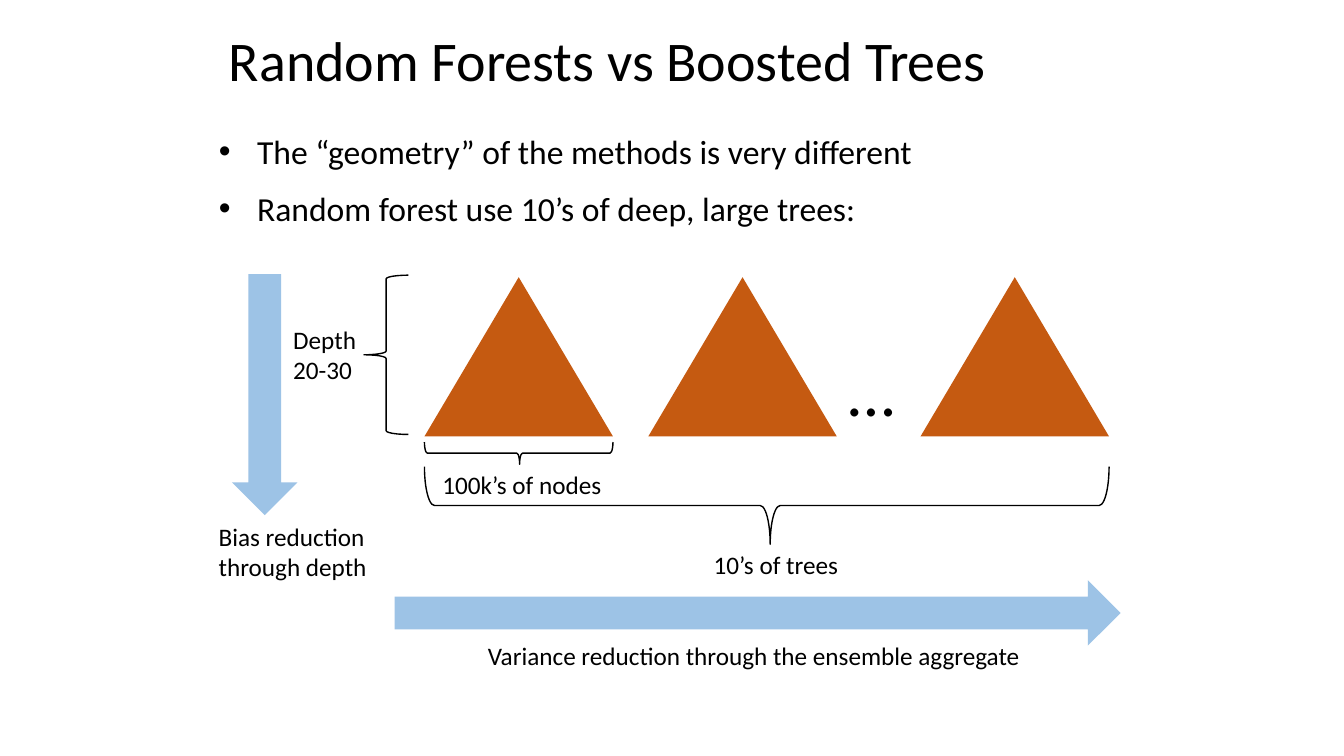
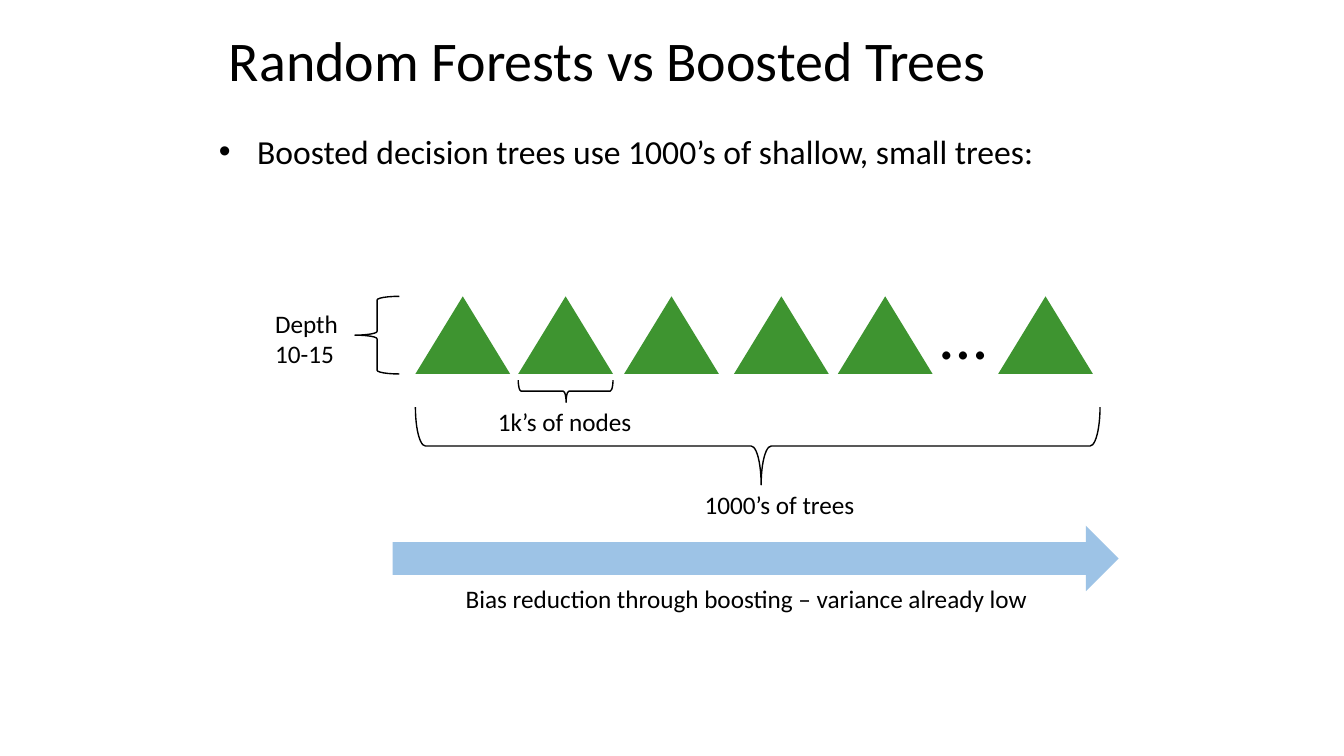
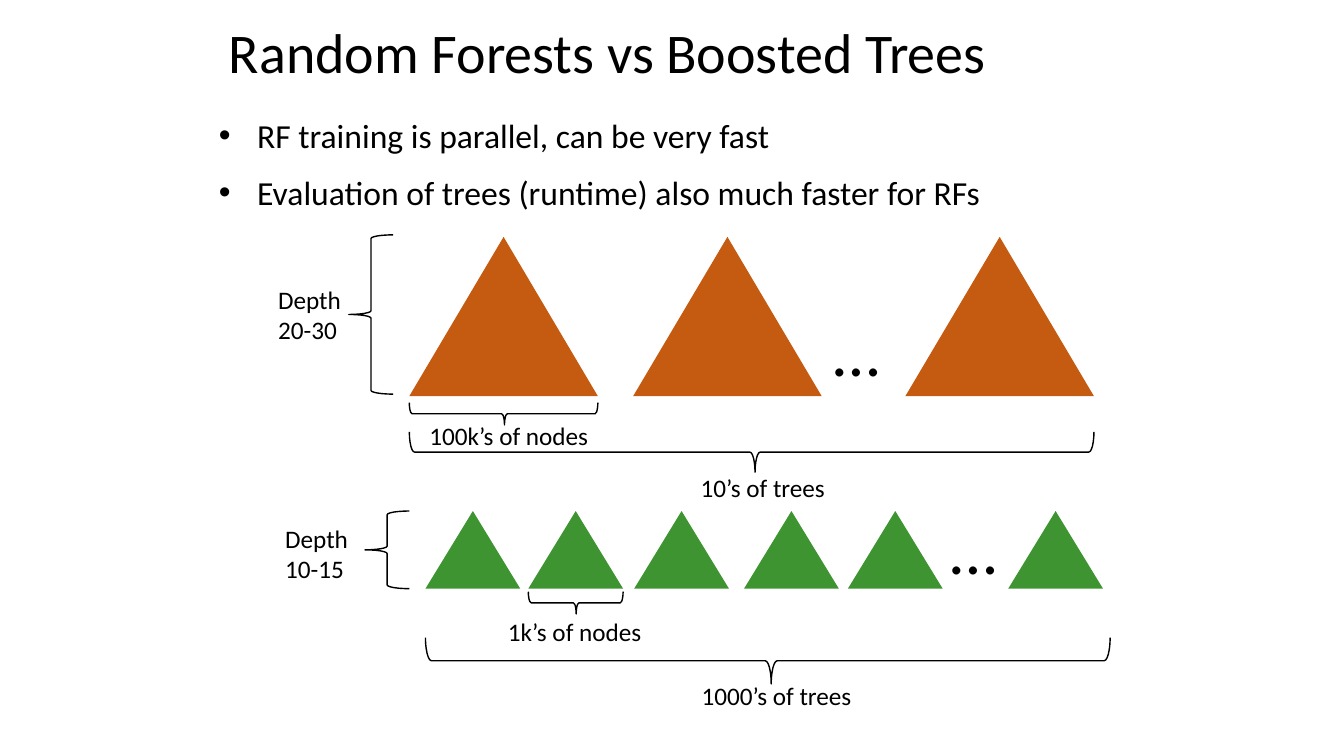
from pptx import Presentation
from pptx.dml.color import RGBColor
from pptx.enum.shapes import MSO_SHAPE as Preset
from pptx.enum.text import MSO_ANCHOR, MSO_AUTO_SIZE as AutoSize, PP_ALIGN
from pptx.util import Inches, Pt

# Shared look; lengths below count square grid cells, 75 rows to the slide height
CELL = Inches(0.1)
FONT = "Calibri"
COLORS = {"text": "000000", "forest": "C55A11", "boosted": "3E9430", "arrow": "9DC3E6"}
TITLE = "Random Forests vs Boosted Trees"
BRACE_CURVES = (0.129, 0.505)
ROW_WIDTH = 67.9

# Tree rows: offsets count from the top left corner of the first tree
METHODS = {
    "forest": {
        "size": (18.7, 15.8), "columns": (0, 22.2, 49.2), "dots": (41.1, 6.7),
        "depth": "Depth \v20-30", "depth_at": (-14, 4.2), "depth_brace_dy": -0.2,
        "nodes": "100k’s of nodes", "nodes_width": 18, "measured_tree": 0,
        "count": "10’s of trees", "count_width": 14.5,
    },
    "boosted": {
        "size": (9.4, 7.7), "columns": (0, 10.2, 20.7, 31.6, 41.9, 57.8), "dots": (51.1, -0.9),
        "depth": "Depth \v10-15", "depth_at": (-14.9, 0.7), "depth_brace_dy": 0,
        "nodes": "1k’s of nodes", "nodes_width": 15.4, "measured_tree": 1,
        "count": "1000’s of trees", "count_width": 17,
    },
}

# Each row: method, origin, nodes brace top, nodes label, row brace top and height, count label
SLIDES = [
    {
        "title_height": 12.5,
        "bullets": ["The “geometry” of the methods is very different",
                    "Random forest use 10’s of deep, large trees:"],
        "rows": [("forest", (42.1, 27.5), 43.85, (42.9, 46.1), (46.3, 7.7), (69.8, 54))],
        "arrows": [((23, 27.2, 6.5, 23.9), False), ((39.15, 57.55, 72, 6.5), True)],
        "effects": [("Bias reduction\nthrough depth", (20.7, 51.2, 17.5, 7.1)),
                    ("Variance reduction through the ensemble aggregate", (47.4, 63, 55.5, 4))],
    },
    {
        "title_height": 12.5,
        "bullets": ["Boosted decision trees use 1000’s of shallow, small trees:"],
        "rows": [("boosted", (41.2, 29.4), 37.7, (48.4, 39.8), (40.4, 7.7), (68.9, 48.1))],
        "arrows": [((38.95, 52.15, 72, 6.5), True)],
        "effects": [("Bias reduction through boosting – variance already low",
                     (45.2, 57.4, 58.4, 4))],
    },
    {
        "title_height": 10.9,
        "bullets": ["RF training is parallel, can be very fast",
                    "Evaluation of trees (runtime) also much faster for RFs"],
        "rows": [("forest", (40.6, 23.5), 39.95, (41.6, 41.2), (42.85, 4), (68.5, 46.4)),
                 ("boosted", (42.2, 50.7), 58.7, (49.4, 60.7), (63.25, 4.6), (68.6, 67))],
        "arrows": [],
        "effects": [],
    },
]


def add_figure(slide, preset, box, fill=None, turned=False):
    """Draw a preset over the box it covers; turned rotates it a quarter left."""
    left, top, width, height = box
    if turned:
        left, top = left + (width - height) / 2, top + (height - width) / 2
        width, height = height, width
    figure = slide.shapes.add_shape(
        preset, *(round(n * CELL) for n in (left, top, width, height)))
    figure.shadow.inherit = False
    figure.rotation = 270 if turned else 0
    if fill:
        figure.fill.solid()
        figure.fill.fore_color.rgb = RGBColor.from_string(COLORS[fill])
        figure.line.fill.background()
    else:
        figure.fill.background()
        figure.line.color.rgb = RGBColor.from_string(COLORS["text"])
        figure.line.width = Pt(1)
        if turned:
            figure.adjustments[0], figure.adjustments[1] = BRACE_CURVES


def write(shape, text, box, size, wrap=False):
    """Place a text shape and fill it in the shared font."""
    shape.left, shape.top, shape.width, shape.height = (round(n * CELL) for n in box)
    frame = shape.text_frame
    frame.text = text
    frame.word_wrap = wrap
    frame.auto_size = AutoSize.SHAPE_TO_FIT_TEXT
    for paragraph in frame.paragraphs:
        paragraph.alignment = PP_ALIGN.LEFT
        paragraph.font.name = FONT
        paragraph.font.size = Pt(size)
        paragraph.font.color.rgb = RGBColor.from_string(COLORS["text"])
    return frame


deck = Presentation()
deck.slide_width, deck.slide_height = Inches(13.33), Inches(7.5)

for content in SLIDES:
    slide = deck.slides.add_slide(deck.slide_layouts[1])
    labels = list(content["effects"])

    # Title and bullets
    title_height = content["title_height"]
    heading = write(slide.shapes.title, TITLE, (21.7, 0, 90, title_height), 40, wrap=True)
    heading.auto_size = AutoSize.NONE
    heading.vertical_anchor = MSO_ANCHOR.MIDDLE
    heading.paragraphs[0].line_spacing = 0.9
    bullets = content["bullets"]
    points = write(slide.placeholders[1], "\n".join(bullets),
                   (20.7, title_height, 90.9, 5.8 * len(bullets) - 0.8), 24, wrap=True)
    for point in points.paragraphs:
        point.space_before = point.space_after = Pt(6)
        indent = Inches(0.38)
        point._p.get_or_add_pPr().set("marL", str(indent))
        point._p.get_or_add_pPr().set("indent", str(-indent))

    # Rows of trees with their braces
    for name, (x, y), nodes_top, nodes_at, (row_top, row_depth), count_at in content["rows"]:
        method = METHODS[name]
        tree_width, tree_height = method["size"]
        for column in method["columns"]:
            add_figure(slide, Preset.ISOSCELES_TRIANGLE,
                       (x + column, y, tree_width, tree_height), fill=name)
        measured_x = x + method["columns"][method["measured_tree"]]
        add_figure(slide, Preset.LEFT_BRACE,
                   (x - 6, y + method["depth_brace_dy"], 4.4, tree_height))
        add_figure(slide, Preset.LEFT_BRACE,
                   (measured_x, nodes_top, tree_width, 2.2), turned=True)
        add_figure(slide, Preset.LEFT_BRACE, (x, row_top, ROW_WIDTH, row_depth), turned=True)

        dots_dx, dots_dy = method["dots"]
        write(slide.shapes.add_textbox(0, 0, 0, 0), "…",
              (x + dots_dx, y + dots_dy, 6.7, 9.1), 48)
        depth_dx, depth_dy = method["depth_at"]
        labels += [(method["depth"], (x + depth_dx, y + depth_dy, 8.9, 7.1)),
                   (method["nodes"], (*nodes_at, method["nodes_width"], 4)),
                   (method["count"], (*count_at, method["count_width"], 4))]

    # Effect arrows and all labels
    for box, turned in content["arrows"]:
        add_figure(slide, Preset.DOWN_ARROW, box, fill="arrow", turned=turned)
    for text, box in labels:
        write(slide.shapes.add_textbox(0, 0, 0, 0), text, box, 18)

deck.save("out.pptx")
